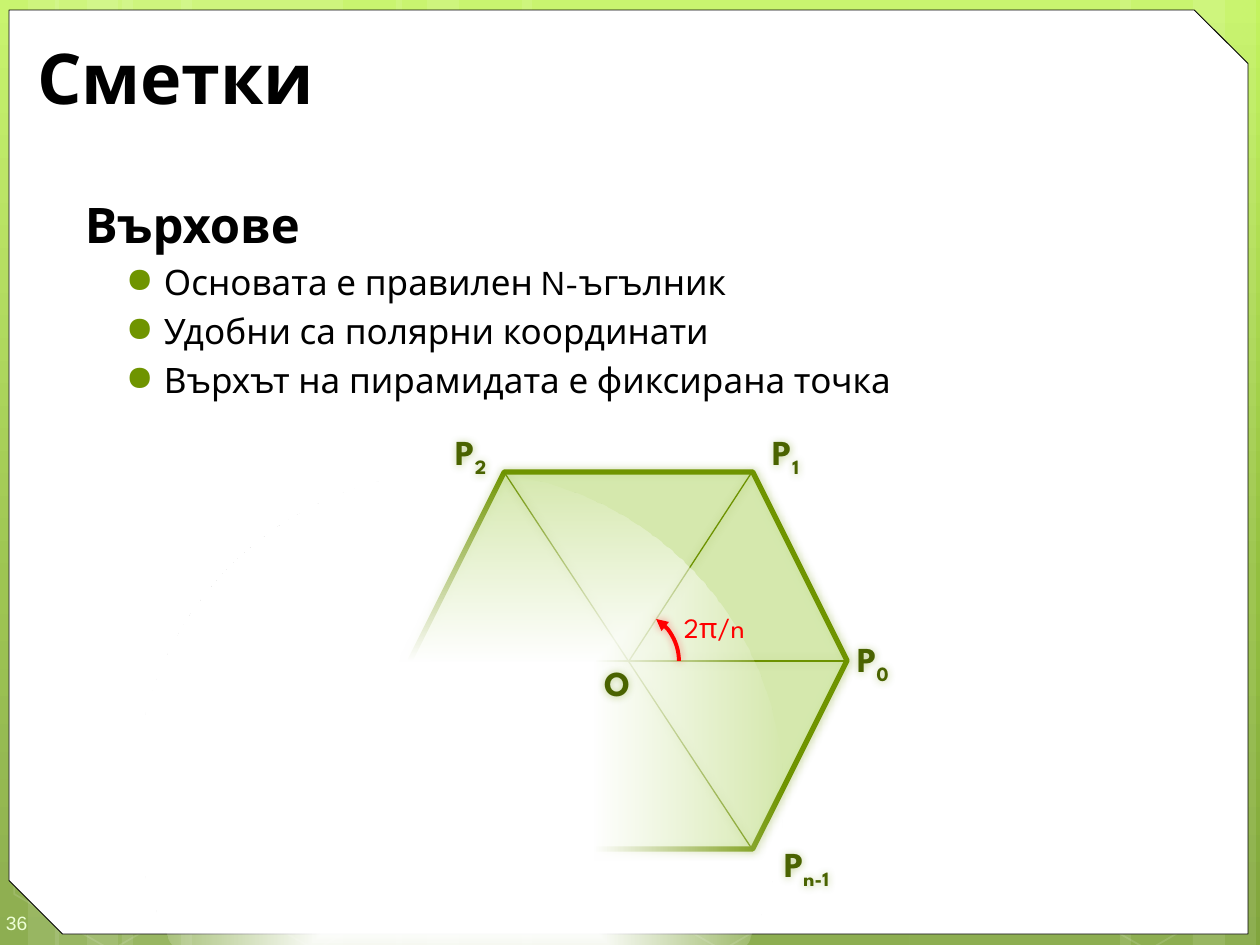
from lxml.etree import SubElement
from pptx import Presentation
from pptx.dml.color import RGBColor
from pptx.enum.shapes import MSO_CONNECTOR, MSO_SHAPE
from pptx.enum.text import MSO_ANCHOR, PP_ALIGN
from pptx.oxml import parse_xml
from pptx.oxml.ns import nsdecls, qn
from pptx.util import Emu, Pt

SCALE = 914400 / 126
WHITE = RGBColor(0xFF, 0xFF, 0xFF)
BLACK = RGBColor(0x00, 0x00, 0x00)
GREEN = RGBColor(0x6F, 0x94, 0x00)
SPOKE = RGBColor(0x6D, 0x92, 0x00)
LABEL = RGBColor(0x4A, 0x63, 0x00)
PALE = RGBColor(0xC9, 0xE8, 0x90)
RED = RGBColor(0xFF, 0x00, 0x00)
NUMBER = RGBColor(0xEE, 0xFF, 0xD6)
BG_TOP = RGBColor(0xC3, 0xF3, 0x5F)
BG_MID = RGBColor(0x93, 0xBF, 0x3F)
BG_END = RGBColor(0x81, 0xA5, 0x3E)

BANDS = [(122, 221), (-4, 63), (28, 105), (181, 221), (55, 63), (87, 105),
         (910, 221), (1193, 63), (1120, 105), (522, 388), (396, 63), (427, 105)]
HEXAGON_LEFTS = [0, 204, 611, 1037]
BULLETS = ["Основата е правилен N-ъгълник", "Удобни са полярни координати",
           "Върхът на пирамидата е фиксирана точка"]
# Corners of the base polygon and its centre
P0, P1, P2, PN = (847, 661), (752, 472), (504, 472), (752, 849)
CENTRE = (629, 661)
LABELS = [("0", 853, 644, 40), ("1", 766, 437, 40),
          ("2", 451, 437, 40), ("n-1", 766, 849, 81)]


def px(n):
    return Emu(round(n * SCALE))


def set_alpha(color_format, percent):
    color = color_format._xFill.find(qn("a:srgbClr"))
    SubElement(color, qn("a:alpha"), val=str(percent * 1000))


def set_gradient(props, stops, direction):
    """Replace the solid fill in props; stops are (percent, colour, alpha)."""
    gs = "".join(
        f'<a:gs pos="{pos * 1000}"><a:srgbClr val="{color}">'
        f'<a:alpha val="{alpha * 1000}"/></a:srgbClr></a:gs>'
        for pos, color, alpha in stops)
    grad = parse_xml(f'<a:gradFill rotWithShape="1" {nsdecls("a")}>'
                     f'<a:gsLst>{gs}</a:gsLst>{direction}</a:gradFill>')
    solid = props.find(qn("a:solidFill"))
    props.replace(solid, grad)


def add_glow(sp, color):
    props = sp._element.spPr
    for old in props.findall(qn("a:effectLst")):
        props.remove(old)
    props.append(parse_xml(
        f'<a:effectLst {nsdecls("a")}><a:outerShdw blurRad="{Pt(5)}" dist="0" '
        f'dir="0" algn="ctr" rotWithShape="0"><a:srgbClr val="{color}">'
        '<a:alpha val="40000"/></a:srgbClr></a:outerShdw></a:effectLst>'))


def add_shape(s, kind, box, fill=None, alpha=100, line=None, width=1, line_alpha=100):
    sp = s.shapes.add_shape(kind, *map(px, box))
    sp.shadow.inherit = False
    if fill is None:
        sp.fill.background()
    else:
        sp.fill.solid()
        sp.fill.fore_color.rgb = fill
        set_alpha(sp.fill.fore_color, alpha)
    if line is None:
        sp.line.fill.background()
    else:
        sp.line.color.rgb = line
        sp.line.width = Pt(width)
        set_alpha(sp.line.color, line_alpha)
    return sp


def add_spoke(s, start, end):
    c = s.shapes.add_connector(MSO_CONNECTOR.STRAIGHT, *map(px, start + end))
    c.line.color.rgb = SPOKE
    c.line.width = Pt(0.75)
    add_glow(c, GREEN)


def add_run(p, text, size, color, bold=False, name="League Spartan"):
    r = p.add_run()
    r.text = text
    for key, value in dict(size=Pt(size), bold=bold, name=name).items():
        setattr(r.font, key, value)
    r.font.color.rgb = color
    return r


def add_box(s, box, insets=(0, 6, 0, 6), anchor=MSO_ANCHOR.MIDDLE):
    sp = s.shapes.add_textbox(*map(px, box))
    tf = sp.text_frame
    tf.word_wrap = True
    tf.vertical_anchor = anchor
    for side, inset in zip(("left", "top", "right", "bottom"), insets):
        setattr(tf, f"margin_{side}", px(inset))
    return sp


def add_bullet(tf, text):
    p = tf.add_paragraph()
    p.level = 1
    props = p._p.get_or_add_pPr()
    props.set("marL", str(px(88)))
    props.set("indent", str(px(-38)))
    before = SubElement(props, qn("a:spcBef"))
    SubElement(before, qn("a:spcPct"), val="20000")
    color = SubElement(props, qn("a:buClr"))
    SubElement(color, qn("a:srgbClr"), val=str(GREEN))
    SubElement(props, qn("a:buChar"), char="●")
    add_run(p, text, 20, BLACK)


def add_backdrop(s):
    s.background.fill.solid()
    set_gradient(s.element.find(".//" + qn("p:bgPr")),
                 [(0, BG_TOP, 100), (62, BG_MID, 100), (100, BG_END, 100)],
                 '<a:lin ang="5400000" scaled="0"/>')
    for left, width in BANDS:
        add_shape(s, MSO_SHAPE.RECTANGLE, (left, 0, width, 945), WHITE, 10)
    for left in HEXAGON_LEFTS:
        sp = add_shape(s, MSO_SHAPE.HEXAGON, (left, 744, 221, 191),
                       line=WHITE, line_alpha=12)
        sp.adjustments[0] = 0.285
        sp.rotation = 30
    panel = add_shape(s, MSO_SHAPE.SNIP_2_DIAG_RECTANGLE, (9, 10, 1239, 924),
                      WHITE, line=BLACK, width=0.5)
    panel.adjustments[0] = 0
    panel.adjustments[1] = 0.058


def add_texts(s):
    number = add_box(s, (0, 895, 73, 50), (6, 19, 0, 13))
    add_run(number.text_frame.paragraphs[0], "36", 11, NUMBER, name="Arial")
    body = add_box(s, (63, 189, 1187, 746), (13, 6, 13, 6), MSO_ANCHOR.TOP).text_frame
    p = body.paragraphs[0]
    p._p.get_or_add_pPr().set("marL", str(px(9)))
    add_run(p, "Върхове", 28, BLACK, True)
    for text in BULLETS:
        add_bullet(body, text)
    title = add_box(s, (24, 32, 1193, 89), (13, 6, 13, 6))
    add_run(title.text_frame.paragraphs[0], "Сметки", 40, BLACK, True)


def add_vertex_label(s, index, left, top, width):
    sp = add_box(s, (left, top, width, 35))
    add_glow(sp, GREEN)
    p = sp.text_frame.paragraphs[0]
    p.alignment = PP_ALIGN.CENTER
    add_run(p, "P", 20, LABEL, True)
    r = add_run(p, index, 20, LABEL, True)
    r._r.get_or_add_rPr().set("baseline", "-25000")


def add_diagram(s):
    base = add_shape(s, MSO_SHAPE.HEXAGON, (410, 472, 437, 377), PALE, 50, GREEN, 3)
    add_glow(base, GREEN)
    for start, end in [(CENTRE, P1), (P2, PN), ((431, 661), P0)]:
        add_spoke(s, start, end)
    fade = add_shape(s, MSO_SHAPE.OVAL, (136, 472, 646, 646), WHITE)
    set_gradient(fade._element.spPr, [(41, WHITE, 100), (100, WHITE, 0)],
                 '<a:path path="shape"><a:fillToRect l="50000" t="50000" '
                 'r="50000" b="50000"/></a:path>')
    for label in LABELS:
        add_vertex_label(s, *label)
    arc = add_shape(s, MSO_SHAPE.ARC, (579, 611, 100, 100), line=RED, width=2.25)
    # Arc angles are stored in 1/60000 degree, adjustments in 1/100000
    arc.adjustments[0] = 303 * 0.6
    arc.adjustments[1] = 0
    SubElement(arc.line._get_or_add_ln(), qn("a:headEnd"), type="triangle")
    add_glow(arc, RED)
    angle = add_box(s, (684, 600, 103, 54))
    add_run(angle.text_frame.paragraphs[0], "2π/n", 16, RED)
    origin = add_box(s, (604, 665, 107, 35))
    add_glow(origin, GREEN)
    add_run(origin.text_frame.paragraphs[0], "O", 20, LABEL, True)


def main():
    prs = Presentation()
    prs.slide_width, prs.slide_height = px(1260), px(945)
    s = prs.slides.add_slide(prs.slide_layouts[6])
    add_backdrop(s)
    add_texts(s)
    add_diagram(s)
    prs.save("out.pptx")


if __name__ == "__main__":
    main()
